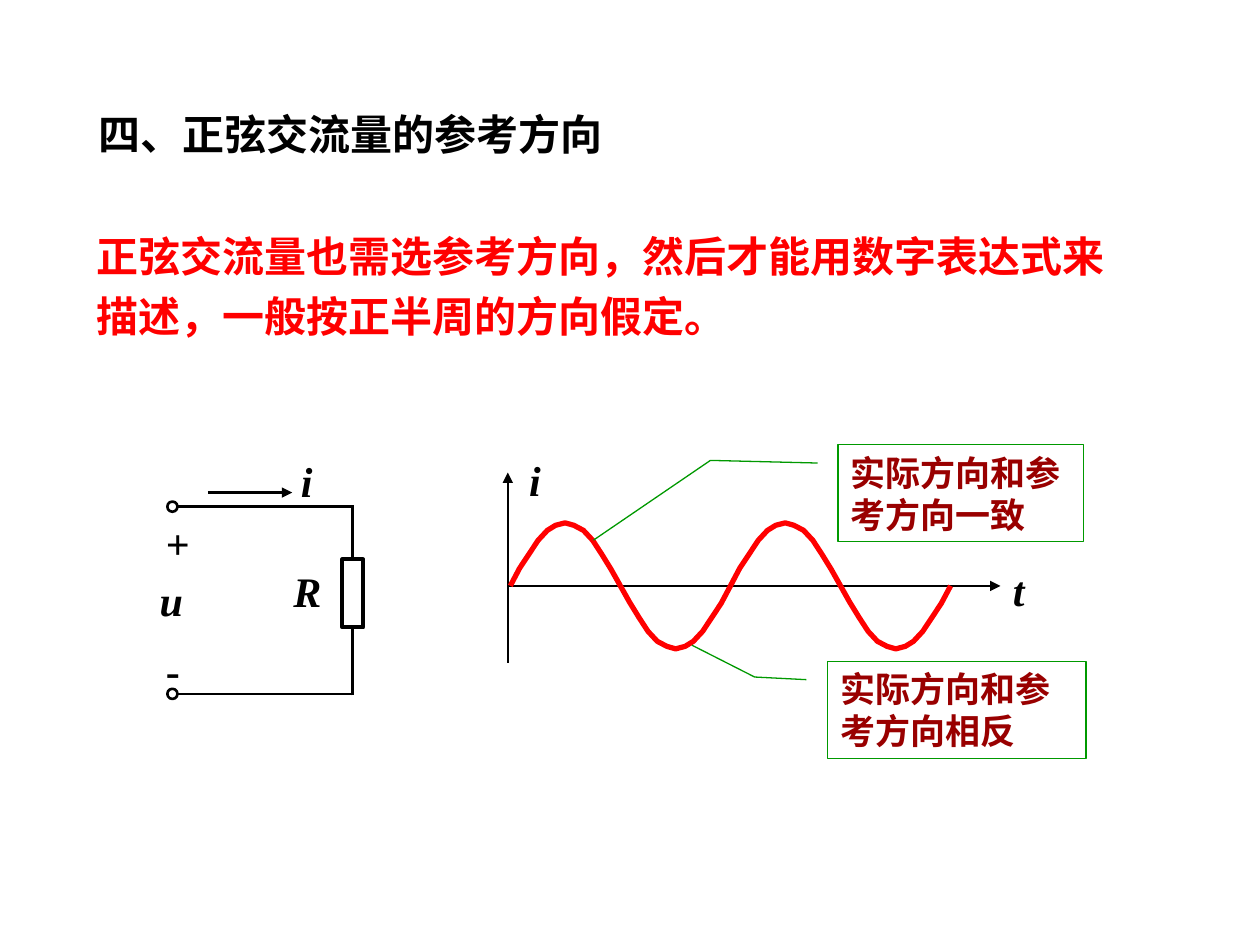
from pptx import Presentation
from pptx.dml.color import RGBColor
from pptx.enum.shapes import MSO_CONNECTOR, MSO_SHAPE
from pptx.enum.text import MSO_ANCHOR, MSO_AUTO_SIZE, PP_ALIGN
from pptx.oxml.ns import qn
from pptx.util import Pt
from lxml import etree

LINE = MSO_CONNECTOR.STRAIGHT
RECT, OVAL, CALLOUT = MSO_SHAPE.RECTANGLE, MSO_SHAPE.OVAL, MSO_SHAPE.LINE_CALLOUT_2
TOP, LEFT, GROW = MSO_ANCHOR.TOP, PP_ALIGN.LEFT, MSO_AUTO_SIZE.SHAPE_TO_FIT_TEXT
BLACK, RED, GREEN, MAROON, WHITE = "000000", "FF0000", "009900", "990000", "FFFFFF"


def color(code):
    return RGBColor.from_string(code)


def write(shape, lines, hue=BLACK, **extra):
    """Fill a shape with bold paragraphs; extra holds more font values."""
    frame = shape.text_frame
    frame.text = "\n".join(lines)
    frame.word_wrap = True
    frame.vertical_anchor = TOP
    frame.auto_size = GROW
    form = {"name": "Times New Roman", "size": Pt(24), "bold": True, **extra}
    for para in frame.paragraphs:
        para.alignment = LEFT
        for key, value in form.items():
            setattr(para.font, key, value)
        para.font.color.rgb = color(hue)
    return frame


deck = Presentation()
deck.slide_width, deck.slide_height = Pt(720), Pt(540)
slide = deck.slides.add_slide(deck.slide_layouts[6])
shapes = slide.shapes

# Title and rule
title = shapes.add_textbox(Pt(49), Pt(58.3), Pt(345), Pt(36))
write(title, ["四、正弦交流量的参考方向"])
rule = shapes.add_textbox(Pt(48.2), Pt(122.4), Pt(601.2), Pt(76.3))
body = write(rule, ["正弦交流量也需选参考方向，然后才能用数字表达式来描述，一般按正半周的方向假定。"], RED)
body.paragraphs[0].line_spacing = 1.2

# Resistor and terminals: kind, left, top, width, height, line width
parts = [
    (RECT, 195.6, 319.7, 12, 38.9, 2.25),
    (OVAL, 95.6, 393.6, 5.8, 5.8, 1.5),
    (OVAL, 95.6, 286.6, 5.8, 5.8, 1.5),
]
drawn = []
for kind, x, y, w, h, width in parts:
    part = shapes.add_shape(kind, Pt(x), Pt(y), Pt(w), Pt(h))
    part.shadow.inherit = False
    part.fill.solid()
    part.fill.fore_color.rgb = color(WHITE)
    part.line.color.rgb = color(BLACK)
    part.line.width = Pt(width)
    drawn.append(part)
load = drawn[0]

# Axes, current arrow and wires: from, to, arrowhead, side of the resistor
wires = [
    (290.2, 378.7, 290.2, 270, True, None),
    (290.2, 334.8, 571.7, 334.8, True, None),
    (118.8, 281.5, 167, 281.5, True, None),
    (101.4, 289.5, 202.3, 289.5, False, None),
    (101.4, 396.6, 202.3, 396.6, False, None),
    (201.6, 289.5, 201.6, 319.7, False, 0),
    (201.6, 397.4, 201.6, 358.6, False, 2),
]
for x, y, right, low, head, side in wires:
    wire = shapes.add_connector(LINE, Pt(x), Pt(y), Pt(right), Pt(low))
    wire.line.color.rgb = color(BLACK)
    wire.line.width = Pt(1.5)
    if head:
        etree.SubElement(wire.line._get_or_add_ln(), qn("a:tailEnd"), type="triangle")
    etree.SubElement(wire._element.spPr, qn("a:effectLst"))
    if side is not None:
        wire.end_connect(load, side)

# Sine wave: each lower half is the upper half turned by 180 degrees
start, base, span = 291.6, 334.8, 62.9
half = [
    (0, 0), (5.3, 10), (10.6, 18), (15.9, 26), (21.2, 31.7), (25.9, 34.6), (31.3, 36),
    (36.3, 34.6), (41.8, 31.7), (47.1, 26), (52.3, 18), (57.6, 9.4), (span, 0),
]
wave = shapes.add_group_shape()
for n in range(4):
    sign = -1 if n % 2 else 1
    left = start + span * (n + n % 2)
    dots = [(Pt(left + sign * x), Pt(base - sign * y)) for x, y in half]
    pen = wave.shapes.build_freeform(*dots[0])
    pen.add_line_segments(dots[1:], close=False)
    curve = pen.convert_to_shape()
    curve.shadow.inherit = False
    curve.fill.background()
    curve.line.color.rgb = color(RED)
    curve.line.width = Pt(3)

# Letters
marks = [
    ("t", 571.7, 319, 36.7),
    ("i", 295.2, 256.3, 36.7),
    ("i", 164.9, 257, 36.7),
    ("u", 84.2, 324.7, 43.2),
    ("R", 160.6, 319.7, 41),
]
for mark, x, y, w in marks:
    label = shapes.add_textbox(Pt(x), Pt(y), Pt(w), Pt(36))
    write(label, [mark], italic=True)

signs = shapes.add_textbox(Pt(87.8), Pt(292.3), Pt(45.4), Pt(108.7))
minus = write(signs, ["+", "-"]).paragraphs[1]
minus.line_spacing = 2.0
minus.space_before = Pt(15)

# Callouts; bends are the y and x shares of each point on the leader
notes = [
    ("实际方向和参考方向一致", 478.8, 254.2, 140.4, [0.188, -0.083, 0.161, -0.519, 0.984, -0.995]),
    ("实际方向和参考方向相反", 473, 378, 147.6, [0.188, -0.083, 0.161, -0.283, -0.168, -0.526]),
]
for words, x, y, w, bends in notes:
    note = shapes.add_shape(CALLOUT, Pt(x), Pt(y), Pt(w), Pt(55.4))
    for n, bend in enumerate(bends):
        note.adjustments[n] = bend
    note.shadow.inherit = False
    note.fill.background()
    note.line.color.rgb = color(GREEN)
    note.line.width = Pt(0.75)
    write(note, [words], MAROON, size=Pt(20))

deck.save("out.pptx")
